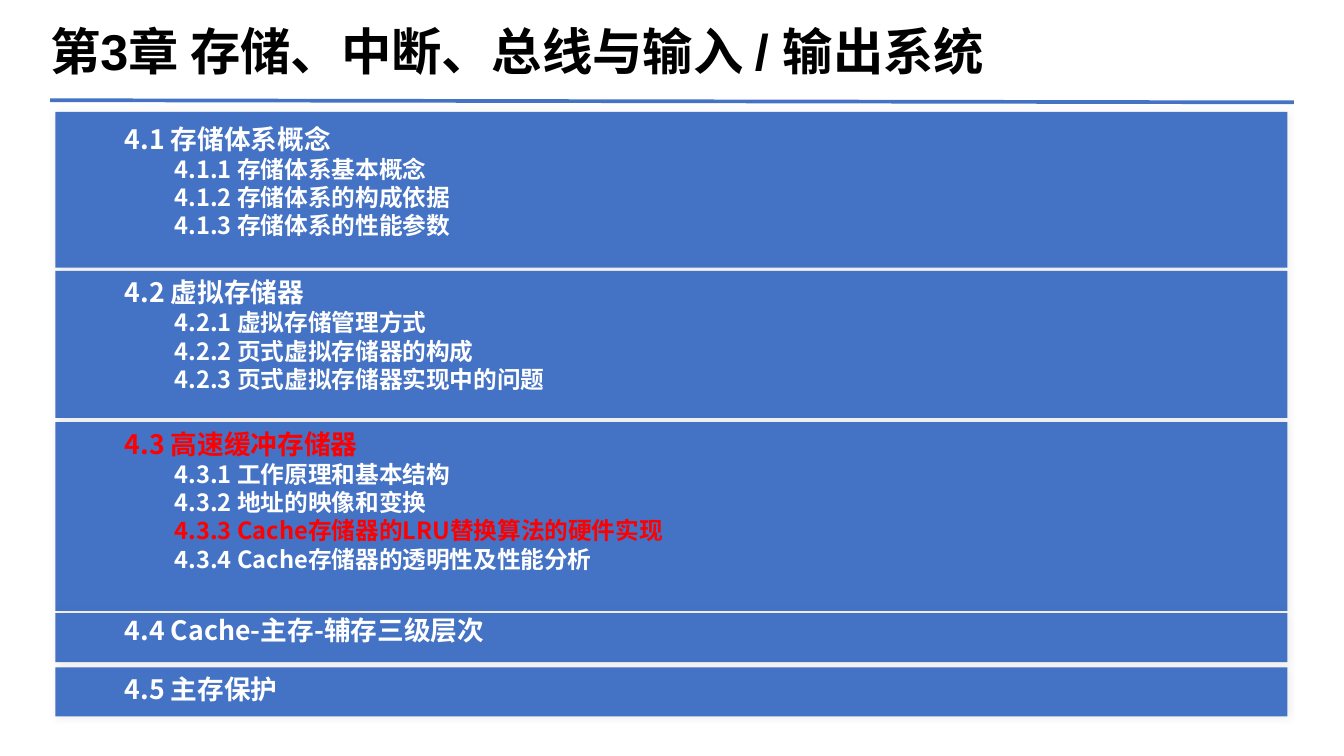
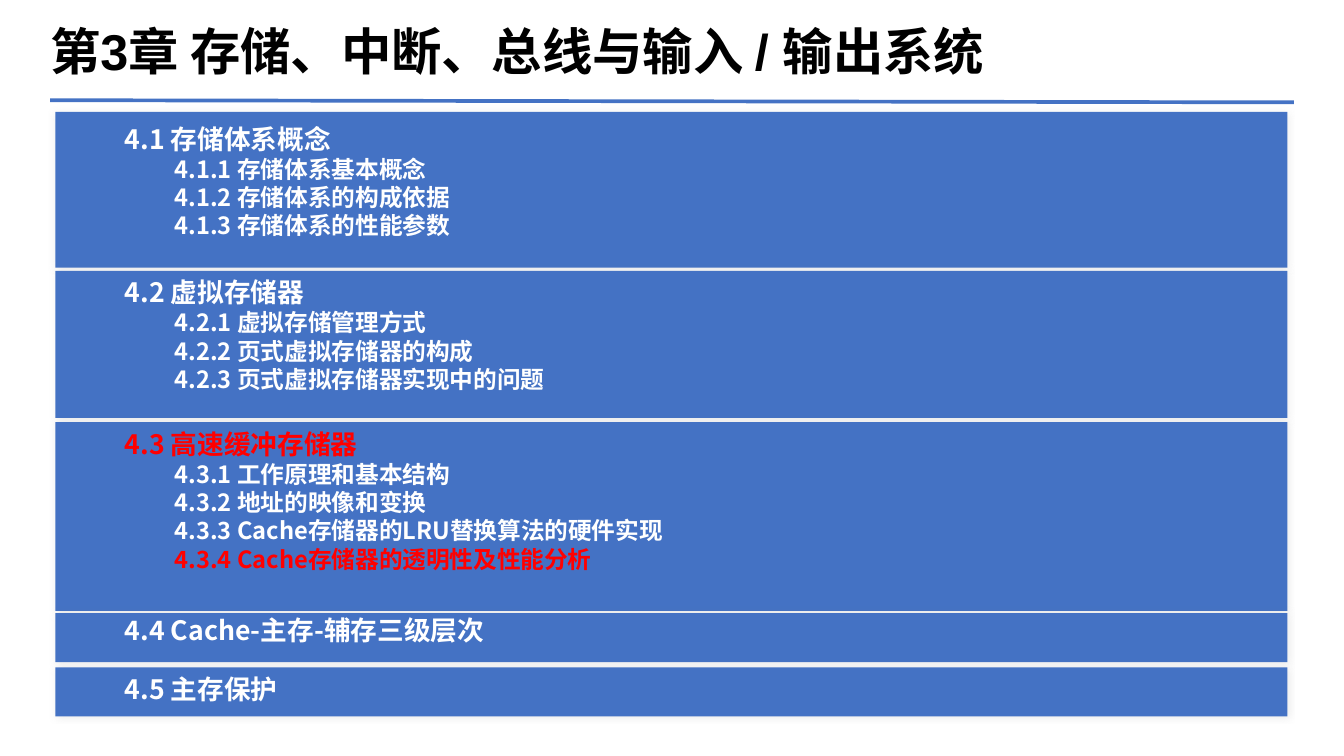
import pptx
import pptx.util
import pptx.dml.color
import pptx.enum.shapes
import pptx.enum.text
import pptx.oxml
import pptx.oxml.ns

TITLE = "第3章 存储、中断、总线与输入 / 输出系统"
CHAPTERS = [
    (10.5, 14.6, 11, ["4.1 存储体系概念", "4.1.1 存储体系基本概念",
                      "4.1.2 存储体系的构成依据", "4.1.3 存储体系的性能参数"]),
    (25.4, 13.8, 25.4, ["4.2 虚拟存储器", "4.2.1 虚拟存储管理方式",
                        "4.2.2 页式虚拟存储器的构成", "4.2.3 页式虚拟存储器实现中的问题"]),
    (39.6, 17.7, 39.6, ["4.3 高速缓冲存储器", "4.3.1 工作原理和基本结构", "4.3.2 地址的映像和变换",
                        "4.3.3 Cache存储器的LRU替换算法的硬件实现",
                        "4.3.4 Cache存储器的透明性及性能分析"]),
    (57.5, 4.6, 57.1, ["4.4 Cache-主存-辅存三级层次"]),
    (62.6, 4.6, 62.6, ["4.5 主存保护"]),
]


def colour(value):
    return pptx.dml.color.RGBColor.from_string(value)


def write(paragraph, text, size, font, fill, indent=0):
    run = paragraph.add_run()
    run.text = text
    run.font.size = pptx.util.Pt(size)
    run.font.bold = True
    run.font.color.rgb = colour(fill)
    run.font.name = font
    east_asian = pptx.oxml.parse_xml(
        f'<a:ea {pptx.oxml.ns.nsdecls("a")} typeface="{Deck.BODY_FONT}"/>')
    run.font.latin_east = None
    run.font._element.append(east_asian)
    paragraph.line_spacing = 1.0
    if indent:
        properties = paragraph._p.get_or_add_pPr()
        properties.set("marL", str(Deck.grid(indent)))
        properties.set("indent", "0")


class Deck:
    """Outline slides on a grid of tenth-inch columns and rows."""

    COLUMNS, ROWS = 126, 70.9
    BLUE, WHITE, RED, BLACK = "4472C4", "FFFFFF", "FF0000", "000000"
    TITLE_FONT, BODY_FONT = "Arial", "Noto Sans CJK SC"

    def __init__(self):
        self.presentation = pptx.Presentation()
        self.presentation.slide_width = self.grid(self.COLUMNS)
        self.presentation.slide_height = self.grid(self.ROWS)
        self.slide = None

    @staticmethod
    def grid(cells):
        return pptx.util.Inches(cells / 10)

    def new_slide(self):
        self.slide = self.presentation.slides.add_slide(self.presentation.slide_layouts[6])
        self.rule()
        title = self.text_frame(4.7, 1.6, 116.5, 6.3)
        title.margin_left = title.margin_right = title.margin_top = title.margin_bottom = 0
        title.vertical_anchor = pptx.enum.text.MSO_ANCHOR.MIDDLE
        write(title.paragraphs[0], TITLE, size=34, font=self.TITLE_FONT, fill=self.BLACK)

    def rule(self):
        line = self.slide.shapes.add_connector(
            pptx.enum.shapes.MSO_CONNECTOR.STRAIGHT,
            *map(self.grid, (4.7, 9.4, 121.3, 9.6)))
        line.line.color.rgb = colour(self.BLUE)
        line.line.width = pptx.util.Pt(2.5)
        line._element.spPr.append(
            pptx.oxml.parse_xml(f'<a:effectLst {pptx.oxml.ns.nsdecls("a")}/>'))

    def text_frame(self, *place):
        frame = self.slide.shapes.add_textbox(*map(self.grid, place)).text_frame
        frame.word_wrap = True
        return frame

    def band(self, top, height):
        band = self.slide.shapes.add_shape(
            pptx.enum.shapes.MSO_SHAPE.RECTANGLE,
            *map(self.grid, (5.2, top, 115.5, height)))
        band.fill.solid()
        band.fill.fore_color.rgb = colour(self.BLUE)
        band.line.fill.background()
        band.shadow.inherit = False
        effects = band._element.spPr.find(pptx.oxml.ns.qn("a:effectLst"))
        effects.append(pptx.oxml.parse_xml(
            f'<a:outerShdw {pptx.oxml.ns.nsdecls("a")} blurRad="63500" dist="0" dir="0">'
            '<a:srgbClr val="808080"><a:alpha val="15000"/></a:srgbClr></a:outerShdw>'))

    def chapter(self, top, height, text_top, entries, current):
        self.band(top, height)
        frame = self.text_frame(10.7, text_top, 63.1, height)
        for index, entry in enumerate(entries):
            paragraph = frame.add_paragraph() if index else frame.paragraphs[0]
            number = entry.split()[0]
            write(paragraph, entry, size=16 if index else 18, font=self.BODY_FONT,
                  fill=self.RED if number in current else self.WHITE,
                  indent=4.7 if index else 0)


def main():
    deck = Deck()
    for section in ("4.3.3", "4.3.4"):
        deck.new_slide()
        for top, height, text_top, entries in CHAPTERS:
            deck.chapter(top, height, text_top, entries, current=("4.3", section))
    deck.presentation.save("out.pptx")


if __name__ == "__main__":
    main()
